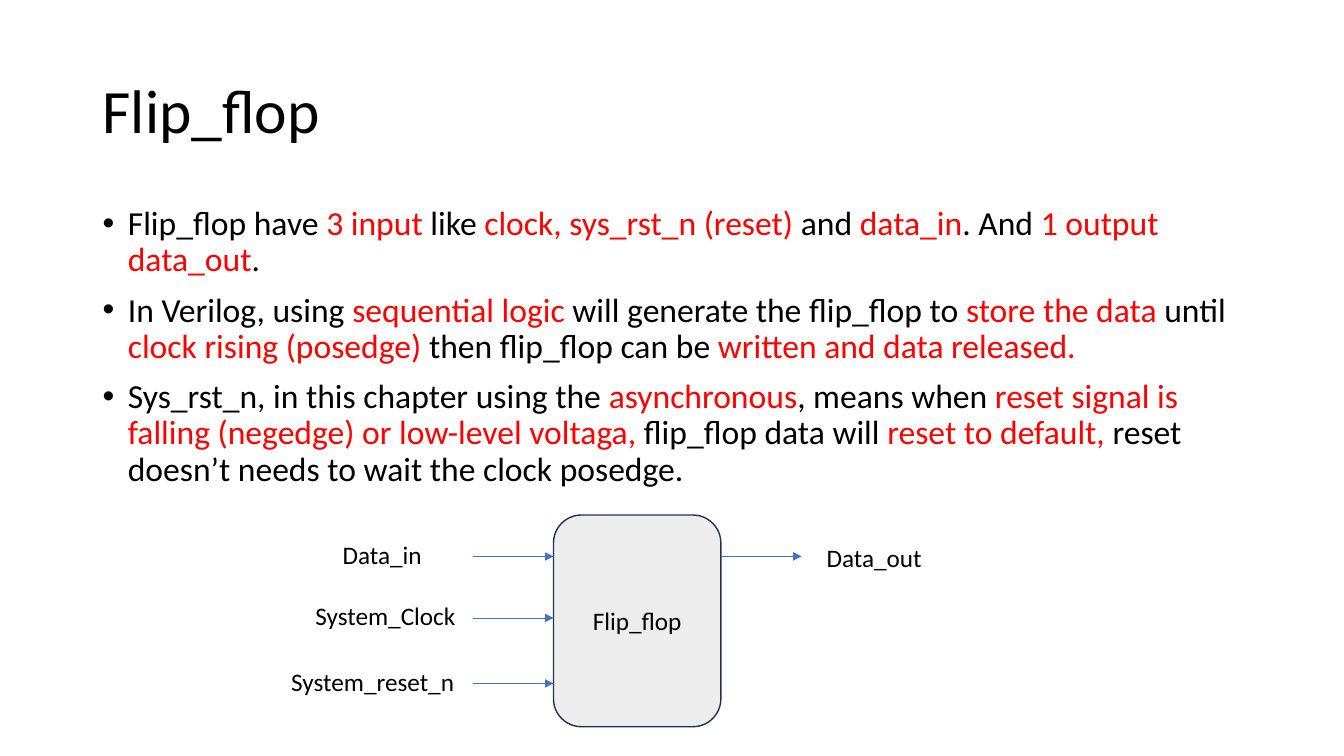
from lxml import etree
from pptx import Presentation
from pptx.dml.color import RGBColor
from pptx.enum.shapes import MSO_CONNECTOR, MSO_SHAPE
from pptx.enum.text import MSO_ANCHOR, PP_ALIGN
from pptx.oxml.ns import qn
from pptx.util import Inches, Pt

STRAIGHT = MSO_CONNECTOR.STRAIGHT
ROUNDED = MSO_SHAPE.ROUNDED_RECTANGLE
MIDDLE = MSO_ANCHOR.MIDDLE
CENTER = PP_ALIGN.CENTER

FONT = "Calibri"
BLACK, RED, BLUE, NAVY, GRAY = "000000", "FF0000", "4472C4", "1E3256", "EDEDED"
ARROW_LENGTH = 0.8
LABEL_HEIGHT = 0.4

# Each bullet alternates plain and highlighted phrases.
BULLETS = [
    ["Flip_flop have ", "3 input ", "like ", "clock, sys_rst_n (reset)", " and ",
     "data_in", ". And ", "1 output data_out", "."],
    ["In Verilog, using ", "sequential logic ", "will generate the flip_flop to ",
     "store the data", " until ", "clock rising (posedge) ",
     "then flip_flop can be ", "written and data released."],
    ["Sys_rst_n, in this chapter using the ", "asynchronous", ", means when ",
     "reset signal is falling (negedge) or low-level voltaga, ",
     "flip_flop data will ", "reset to default, ",
     "reset doesn’t needs to wait the clock posedge."],
]
INPUTS = [("Data_in", 1.39, 0.41), ("System_Clock", 1.66, 1.02),
          ("System_reset_n", 1.9, 1.67)]


def rgb(value):
    """Turn a hex string into a colour."""
    return RGBColor.from_string(value)


def style(r, size, color=BLACK):
    """Set the font of a run."""
    r.font.name = FONT
    r.font.size = Pt(size)
    r.font.color.rgb = rgb(color)


def add_text(s, left, top, width, height, text="", size=18):
    """Add a wrapping text box and return its text frame."""
    box = s.shapes.add_textbox(Inches(left), Inches(top), Inches(width), Inches(height))
    tf = box.text_frame
    tf.word_wrap = True
    if text:
        tf.text = text
        style(tf.paragraphs[0].runs[0], size)
    return tf


def add_arrow(s, left, y):
    """Add a thin arrow pointing right."""
    line = s.shapes.add_connector(STRAIGHT, Inches(left), Inches(y),
                                  Inches(left + ARROW_LENGTH), Inches(y))
    line.line.color.rgb = rgb(BLUE)
    line.line.width = Pt(0.5)
    etree.SubElement(line.line._get_or_add_ln(), qn("a:tailEnd"), type="triangle")
    etree.SubElement(line._element.spPr, qn("a:effectLst"))


def add_title(s, left, top, width, height):
    """Place the slide title."""
    tf = add_text(s, left, top, width, height, "Flip_flop", 44)
    tf.vertical_anchor = MIDDLE
    tf.paragraphs[0].line_spacing = 0.9


def add_bullets(s, left, top, width, height):
    """Place the bulleted text with its highlighted phrases."""
    tf = add_text(s, left, top, width, height)
    for i, phrases in enumerate(BULLETS):
        p = tf.add_paragraph() if i else tf.paragraphs[0]
        p.line_spacing = 0.9
        p.space_before = Pt(10)
        pPr = p._p.get_or_add_pPr()
        pPr.set("marL", str(Inches(0.25)))
        pPr.set("indent", str(-Inches(0.25)))
        etree.SubElement(pPr, qn("a:buFont"), typeface="Arial")
        etree.SubElement(pPr, qn("a:buChar"), char="•")
        for j, phrase in enumerate(phrases):
            r = p.add_run()
            r.text = phrase
            style(r, 24, RED if j % 2 else BLACK)


def add_diagram(s, left, top, width, height):
    """Draw the flip-flop block with its labelled inputs and output."""
    block = s.shapes.add_shape(ROUNDED, Inches(left), Inches(top),
                               Inches(width), Inches(height))
    block.shadow.inherit = False
    block.fill.solid()
    block.fill.fore_color.rgb = rgb(GRAY)
    block.line.color.rgb = rgb(NAVY)
    block.line.width = Pt(1)
    tf = block.text_frame
    tf.text = "Flip_flop"
    tf.vertical_anchor = MIDDLE
    p = tf.paragraphs[0]
    p.alignment = CENTER
    style(p.runs[0], 18)

    start = left - ARROW_LENGTH
    for name, label_width, offset in INPUTS:
        y = top + offset
        add_arrow(s, start, y)
        add_text(s, start - label_width, y - 0.22, label_width, LABEL_HEIGHT, name)
    right = left + width
    y = top + INPUTS[0][2]
    add_arrow(s, right, y)
    add_text(s, right + ARROW_LENGTH + 0.15, y - 0.19, 1.39, LABEL_HEIGHT, "Data_out")


def main():
    """Build and save the slide."""
    prs = Presentation()
    prs.slide_width, prs.slide_height = Inches(13.33), Inches(7.5)
    s = prs.slides.add_slide(prs.slide_layouts[6])
    add_title(s, 0.92, 0.4, 11.5, 1.45)
    add_bullets(s, 0.92, 2, 11.5, 4.76)
    add_diagram(s, 5.49, 5.11, 1.66, 2.1)
    prs.save("out.pptx")


if __name__ == "__main__":
    main()
